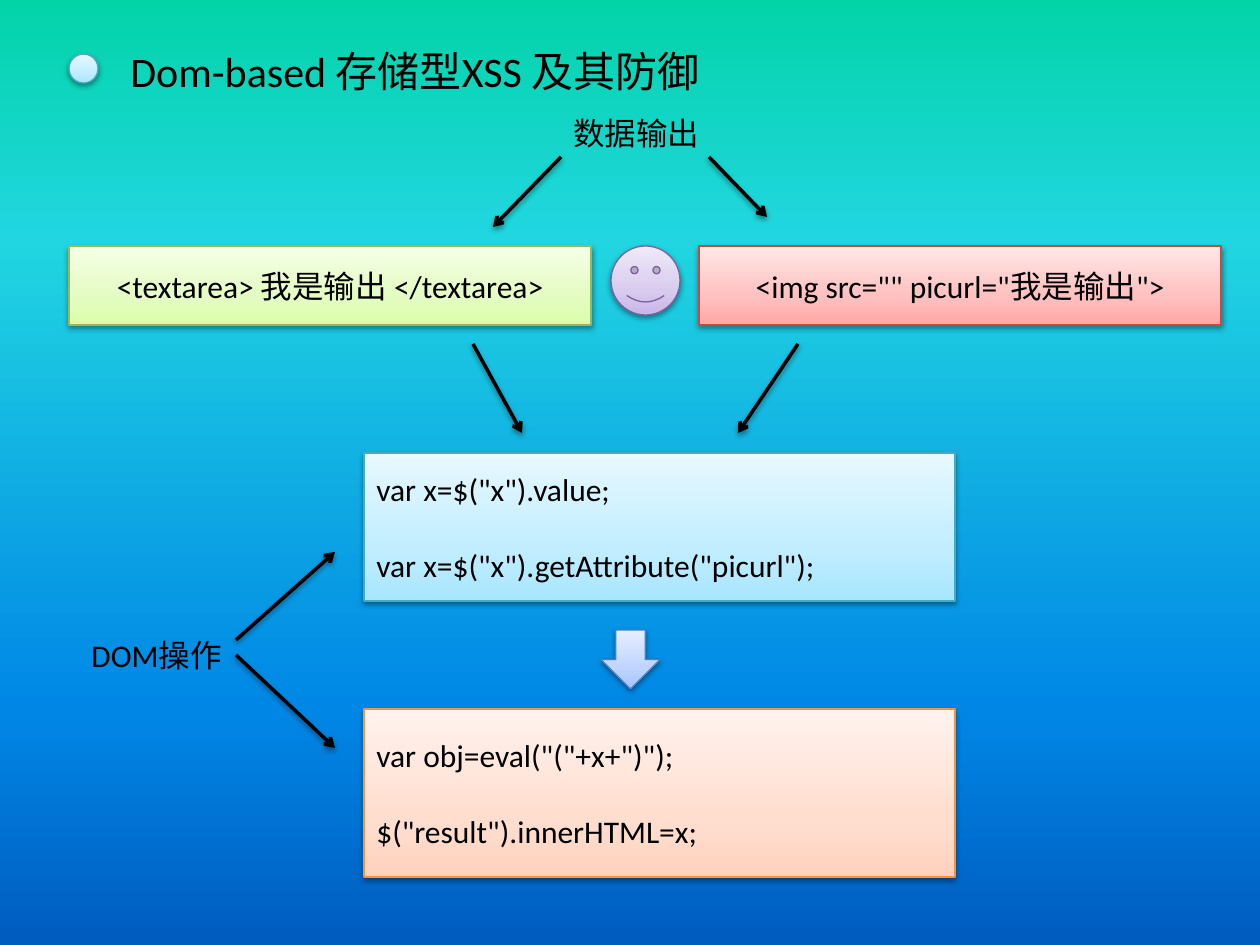
from dataclasses import dataclass

from lxml import etree
from pptx import Presentation
from pptx import util as u
from pptx.dml.color import RGBColor
from pptx.enum import shapes, text
from pptx.oxml.ns import qn


@dataclass(frozen=True)
class Theme:
    font: str = "Calibri"
    ink: str = "000000"
    title: int = 24
    body: int = 18
    gap: int = 22
    edge: float = 0.75
    arrow: int = 2
    sky: tuple = ((0, "03D4A8"), (25, "21D6E0"), (75, "0087E6"), (100, "005CBF"))
    # each tone: edge colour, then fill from bottom to top
    aqua: tuple = ("46AAC5", "A7E6FF", "C1EDFF", "E7F8FF")
    lime: tuple = ("98B955", "DAFDA7", "E4FCC2", "F5FFE7")
    rose: tuple = ("BF4C48", "FFA6A5", "FFC0BF", "FFE7E7")
    peach: tuple = ("F69240", "FFD2BD", "FFDED0", "FFF2ED")
    blue: tuple = ("4B7EBC", "A4C4FF", "BFD4FF", "E6EEFF")
    plum: tuple = ("7D60A0", "C9B5E8", "D8CBEE", "F0EAF9")


theme = Theme()
ink = RGBColor.from_string(theme.ink)
SCALE = u.Inches(1) / 126  # EMU in one px


def blend(root, stops, angle):
    """Replace the stops and angle of the first gradient under root."""
    bar = root.find(".//" + qn("a:gsLst"))
    bar.clear()
    for place, tone in stops:
        stop = etree.SubElement(bar, qn("a:gs"), pos=str(place * 1000))
        etree.SubElement(stop, qn("a:srgbClr"), val=tone)
    root.find(".//" + qn("a:lin")).set("ang", str(angle * 60000))


def shade(props):
    """Give shape properties a soft shadow that falls straight down."""
    list_ = props.find(qn("a:effectLst"))
    if list_ is None:
        list_ = etree.SubElement(props, qn("a:effectLst"))
    drop = etree.SubElement(list_, qn("a:outerShdw"), blurRad=str(u.Pt(3.1)),
                            dist=str(u.Pt(1.6)), dir="5400000", rotWithShape="0")
    tone = etree.SubElement(drop, qn("a:srgbClr"), val=theme.ink)
    etree.SubElement(tone, qn("a:alpha"), val="38000")


deck = Presentation()
deck.slide_width, deck.slide_height = round(1260 * SCALE), round(945 * SCALE)
slide = deck.slides.add_slide(deck.slide_layouts[6])
slide.background.fill.gradient()
blend(slide.element, theme.sky, 90)

# Filled shapes: kind, box, tone, lines of text, alignment
kinds, align = shapes.MSO_SHAPE, text.PP_ALIGN
left, mid = align.LEFT, align.CENTER
blocks = [
    (kinds.OVAL, (69, 54, 29, 29), theme.aqua, [], mid),
    (kinds.RECTANGLE, (69, 246, 522, 79), theme.lime,
     ["<textarea> 我是输出 </textarea>"], mid),
    (kinds.RECTANGLE, (699, 246, 522, 79), theme.rose,
     ['<img src="" picurl="我是输出">'], mid),
    (kinds.SMILEY_FACE, (611, 246, 69, 69), theme.plum, [], mid),
    (kinds.RECTANGLE, (364, 453, 591, 148), theme.aqua,
     ['var x=$("x").value;', 'var x=$("x").getAttribute("picurl");'], left),
    (kinds.DOWN_ARROW, (601, 630, 59, 59), theme.blue, [], mid),
    (kinds.RECTANGLE, (364, 709, 591, 168), theme.peach,
     ['var obj=eval("("+x+")");', '$("result").innerHTML=x;'], left),
]
for kind, box, (edge, *fill), lines, side in blocks:
    shape = slide.shapes.add_shape(kind, *(round(n * SCALE) for n in box))
    shape.fill.gradient()
    blend(shape.element, zip((0, 35, 100), fill), 270)
    shape.line.color.rgb = RGBColor.from_string(edge)
    shape.line.width = u.Pt(theme.edge)
    shape.shadow.inherit = False
    shade(shape.element.spPr)
    frame = shape.text_frame
    frame.vertical_anchor = text.MSO_ANCHOR.MIDDLE
    for i, line in enumerate(lines):
        para = frame.add_paragraph() if i else frame.paragraphs[0]
        para.alignment = side
        if i:
            para.space_before = u.Pt(theme.gap)
        run = para.add_run()
        run.text = line
        run.font.name, run.font.size = theme.font, u.Pt(theme.body)
        run.font.color.rgb = ink

# Plain labels
labels = [
    ("Dom-based 存储型XSS 及其防御", (118, 39, 600, 63), theme.title),
    ("数据输出", (561, 108, 152, 50), theme.body),
    ("DOM操作", (79, 630, 157, 50), theme.body),
]
for words, box, size in labels:
    frame = slide.shapes.add_textbox(*(round(n * SCALE) for n in box)).text_frame
    frame.word_wrap = True
    frame.auto_size = text.MSO_AUTO_SIZE.SHAPE_TO_FIT_TEXT
    run = frame.paragraphs[0].add_run()
    run.text = words
    run.font.name, run.font.size = theme.font, u.Pt(size)
    run.font.color.rgb = ink

# Arrows: start x, y, end x, y
arrows = [
    (561, 157, 493, 227), (709, 157, 767, 217),
    (473, 344, 522, 433), (798, 344, 738, 433),
    (236, 640, 335, 552), (236, 655, 335, 748),
]
for ends in arrows:
    arrow = slide.shapes.add_connector(
        shapes.MSO_CONNECTOR.STRAIGHT, *(round(n * SCALE) for n in ends))
    arrow.line.color.rgb = ink
    arrow.line.width = u.Pt(theme.arrow)
    props = arrow.element.spPr
    etree.SubElement(props.find(qn("a:ln")), qn("a:tailEnd"), type="arrow")
    shade(props)

deck.save("out.pptx")
